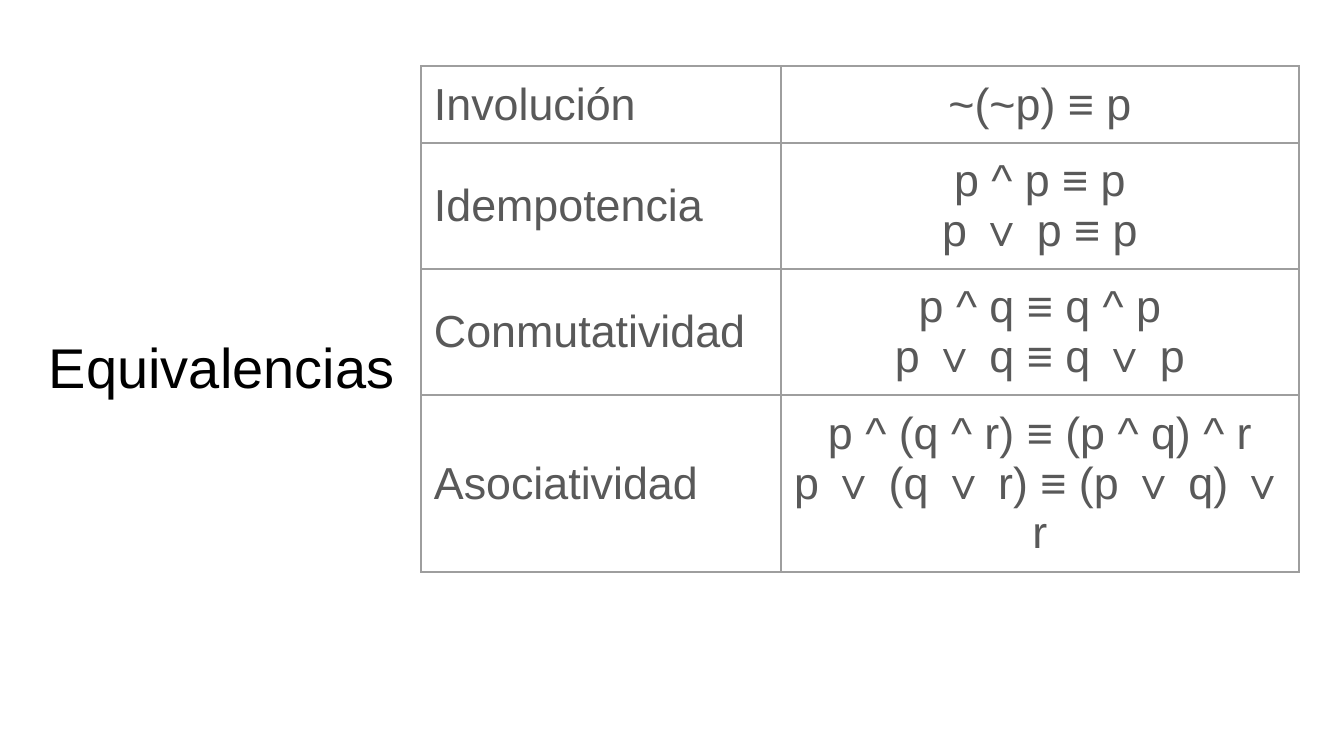
"""Build a slide with a table of logical equivalences."""
import dataclasses

import lxml.etree
import pptx
import pptx.dml.color
import pptx.enum.text
import pptx.oxml.ns
import pptx.util

SCALE = 914400 / 134.4
BLACK = pptx.dml.color.RGBColor(0x00, 0x00, 0x00)
GRAY = pptx.dml.color.RGBColor(0x59, 0x59, 0x59)
EDGE = pptx.dml.color.RGBColor(0x9E, 0x9E, 0x9E)
FONT = "Arial"
PAD = 13
LEFT = pptx.enum.text.PP_ALIGN.LEFT
CENTER = pptx.enum.text.PP_ALIGN.CENTER
MIDDLE = pptx.enum.text.MSO_ANCHOR.MIDDLE


@dataclasses.dataclass(frozen=True)
class Law:
    name: str
    forms: tuple[str, ...]
    height: int


LAWS = (
    Law("Involución", ("~(~p) ≡ p",), 77),
    Law("Idempotencia", ("p ^ p ≡ p", "p ∨ p ≡ p"), 126),
    Law("Conmutatividad", ("p ^ q ≡ q ^ p", "p ∨ q ≡ q ∨ p"), 126),
    Law("Asociatividad",
        ("p ^ (q ^ r) ≡ (p ^ q) ^ r", "p ∨ (q ∨ r) ≡ (p ∨ q) ∨ r"), 177),
)
WIDTHS = (360, 518)


def px(count: int) -> pptx.util.Emu:
    return pptx.util.Emu(round(count * SCALE))


def style(para, size: int, color: pptx.dml.color.RGBColor, align) -> None:
    para.alignment = align
    para.font.name = FONT
    para.font.size = pptx.util.Pt(size)
    para.font.color.rgb = color


def pad(box) -> None:
    box.margin_left = box.margin_right = px(PAD)
    box.margin_top = box.margin_bottom = px(PAD)
    box.vertical_anchor = MIDDLE


def border(cell) -> None:
    props = cell._tc.get_or_add_tcPr()
    for spot, side in enumerate(("a:lnL", "a:lnR", "a:lnT", "a:lnB")):
        line = lxml.etree.Element(pptx.oxml.ns.qn(side),
                                  w=str(pptx.util.Pt(0.75)))
        fill = lxml.etree.SubElement(line, pptx.oxml.ns.qn("a:solidFill"))
        lxml.etree.SubElement(fill, pptx.oxml.ns.qn("a:srgbClr"),
                              val=str(EDGE))
        props.insert(spot, line)


def write(cell, lines: tuple[str, ...], align, after: int) -> None:
    cell.fill.background()
    pad(cell)
    border(cell)
    cell.text = "\n".join(lines)
    for para in cell.text_frame.paragraphs:
        style(para, 24, GRAY, align)
        para.space_after = pptx.util.Pt(0)
    para.space_after = pptx.util.Pt(after)


def title(slide) -> None:
    shape = slide.shapes.title
    shape.left, shape.top = px(36), px(66)
    shape.width, shape.height = px(972), px(601)
    frame = shape.text_frame
    frame.text = "Equivalencias"
    frame.word_wrap = True
    frame.auto_size = pptx.enum.text.MSO_AUTO_SIZE.NONE
    pad(frame)
    style(frame.paragraphs[0], 30, BLACK, LEFT)


def grid(slide) -> None:
    total = sum(law.height for law in LAWS)
    table = slide.shapes.add_table(
        len(LAWS), len(WIDTHS), px(421), px(66), px(sum(WIDTHS)), px(total)
    ).table
    table.first_row = table.horz_banding = False
    for column, width in zip(table.columns, WIDTHS):
        column.width = px(width)
    for index, law in enumerate(LAWS):
        table.rows[index].height = px(law.height)
        write(table.cell(index, 0), (law.name,), LEFT, 0)
        write(table.cell(index, 1), law.forms, CENTER, 16)


def main() -> None:
    deck = pptx.Presentation()
    deck.slide_width, deck.slide_height = px(1344), px(756)
    slide = deck.slides.add_slide(deck.slide_layouts[5])
    title(slide)
    grid(slide)
    deck.save("out.pptx")


main()
